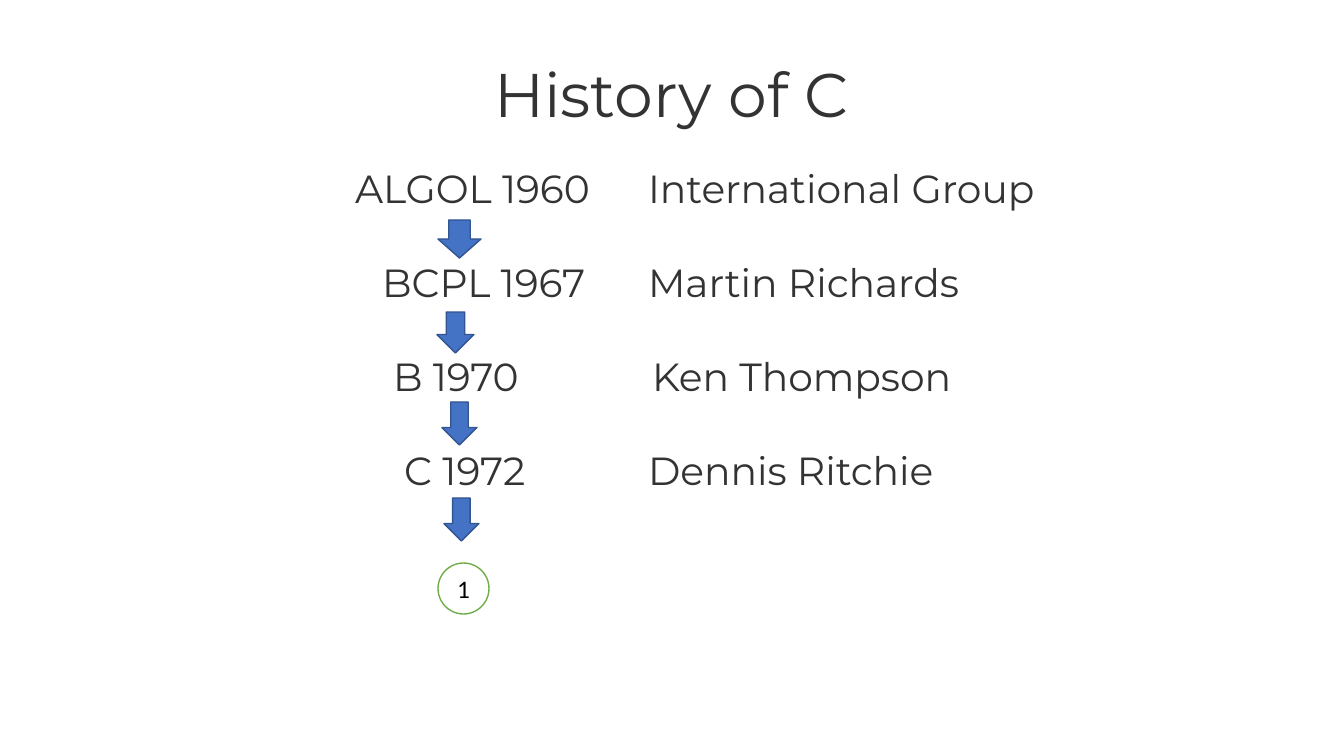
"""Build the History of C slide: languages, their authors and the arrows between them."""
from lxml.etree import SubElement
from pptx import Presentation
from pptx.dml.color import RGBColor
from pptx.enum.shapes import MSO_SHAPE
from pptx.enum.text import MSO_ANCHOR, MSO_AUTO_SIZE, PP_ALIGN
from pptx.oxml.ns import qn
from pptx.util import Pt

EMU_PER_PX = 914400 / 100.8
COLORS = {
    "text": "333333",
    "arrow": "4472C4",
    "arrow_line": "325491",
    "badge": "FFFFFF",
    "badge_line": "70AD47",
    "badge_text": "000000",
}
LANGUAGES = [("ALGOL 1960", 0), ("BCPL 1967", 27), ("B 1970", 38), ("C 1972", 49)]
AUTHORS = [
    ("International Group", 0),
    ("Martin Richards", 0),
    ("Ken Thompson", 4),
    ("Dennis Ritchie", 0),
]
ARROWS = [(438, 220, 43, 38), (437, 312, 37, 41), (442, 402, 35, 43), (444, 498, 35, 43)]


def px(length):
    return round(length * EMU_PER_PX)


def color(name):
    return RGBColor.from_string(COLORS[name])


def set_font(paragraph, family, size, color_name):
    paragraph.font.name = family
    paragraph.font.size = Pt(size)
    paragraph.font.color.rgb = color(color_name)


def place(placeholder, left, top, width, height):
    placeholder.left, placeholder.top = px(left), px(top)
    placeholder.width, placeholder.height = px(width), px(height)
    frame = placeholder.text_frame
    frame.word_wrap = True
    frame.auto_size = MSO_AUTO_SIZE.NONE
    frame.vertical_anchor = MSO_ANCHOR.TOP
    return frame


def indent_plain(paragraph, indent):
    properties = paragraph._p.get_or_add_pPr()
    properties.set("marL", str(px(indent)))
    properties.set("indent", "0")
    SubElement(properties, qn("a:buNone"))


def fill_title(title):
    heading = place(title, 217, 51, 909, 85).paragraphs[0]
    heading.text = "History of C"
    heading.alignment = PP_ALIGN.CENTER
    set_font(heading, "Montserrat", 44, "text")


def fill_column(body, entries, left, width):
    frame = place(body, left, 159, width, 485)
    for index, (wording, indent) in enumerate(entries):
        entry = frame.add_paragraph() if index else frame.paragraphs[0]
        entry.text = wording
        indent_plain(entry, indent)
        entry.line_spacing = 1.0
        entry.space_before = Pt(33.5 if index else 0)
        set_font(entry, "Montserrat", 28, "text")


def add_figure(slide, preset, box, fill, line):
    figure = slide.shapes.add_shape(preset, *map(px, box))
    figure.shadow.inherit = False
    figure.fill.solid()
    figure.fill.fore_color.rgb = color(fill)
    figure.line.color.rgb = color(line)
    figure.line.width = Pt(1)
    return figure


def add_badge(slide, label, box):
    badge = add_figure(slide, MSO_SHAPE.FLOWCHART_CONNECTOR, box, "badge", "badge_line")
    frame = badge.text_frame
    frame.margin_left = frame.margin_right = 0
    frame.vertical_anchor = MSO_ANCHOR.MIDDLE
    number = frame.paragraphs[0]
    number.text = label
    number.alignment = PP_ALIGN.CENTER
    set_font(number, "Calibri", 18, "badge_text")


def main():
    deck = Presentation()
    deck.slide_width, deck.slide_height = px(1344), px(756)
    slide = deck.slides.add_slide(deck.slide_layouts[3])
    fill_title(slide.shapes.title)
    fill_column(slide.placeholders[1], LANGUAGES, 345, 285)
    fill_column(slide.placeholders[2], AUTHORS, 638, 647)
    for box in ARROWS:
        add_figure(slide, MSO_SHAPE.DOWN_ARROW, box, "arrow", "arrow_line")
    add_badge(slide, "1", (438, 563, 51, 51))
    deck.save("out.pptx")


if __name__ == "__main__":
    main()
